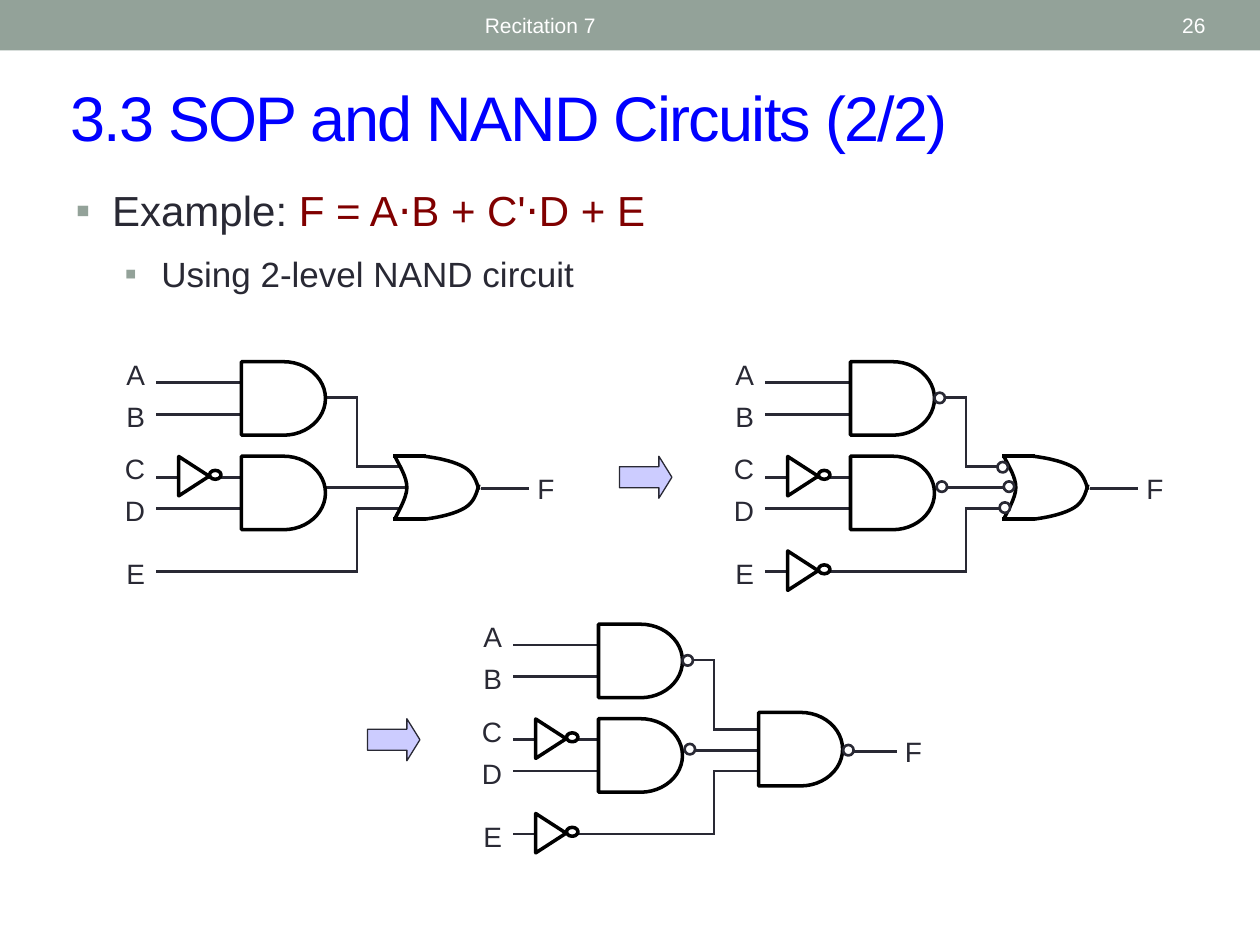
"""Build a slide that turns a sum-of-products circuit into a NAND circuit."""
import lxml.etree
import pptx
import pptx.dml.color
import pptx.enum.shapes
import pptx.enum.text
import pptx.oxml.ns
import pptx.util

RGBColor = pptx.dml.color.RGBColor
SAGE = RGBColor(0x93, 0xA2, 0x99)
WHITE = RGBColor(0xFF, 0xFF, 0xFF)
BLACK = RGBColor(0, 0, 0)
BLUE = RGBColor(0, 0, 0xFF)
INK = RGBColor(0x29, 0x29, 0x34)
RED = RGBColor(0x80, 0, 0)
LILAC = RGBColor(0xCC, 0xCC, 0xFF)
KIND = pptx.enum.shapes.MSO_SHAPE
ALIGN = pptx.enum.text.PP_ALIGN
MIDDLE = pptx.enum.text.MSO_ANCHOR.MIDDLE
FIT = pptx.enum.text.MSO_AUTO_SIZE
COLS, ROWS = 120, 90


class Board:
    """Hold the style, the slide and the corner that grid lengths start from."""

    font = "Arial"
    thin, thick = 1.5, 2

    def __init__(self, deck):
        self.slide = deck.slides.add_slide(deck.slide_layouts[1])
        self.shapes = self.slide.shapes
        self.col = deck.slide_width / COLS
        self.row = deck.slide_height / ROWS
        self.move(0, 0)

    def move(self, left, top):
        self.left, self.top = left, top

    def spot(self, x, y):
        return round((self.left + x) * self.col), round((self.top + y) * self.row)

    def size(self, wide, high):
        return round(wide * self.col), round(high * self.row)

    def run(self, para, text, size, color):
        run = para.add_run()
        run.text = text
        run.font.name, run.font.size = self.font, pptx.util.Pt(size)
        run.font.color.rgb = color
        return run

    def place(self, item, x, y, wide, high):
        item.left, item.top = self.spot(x, y)
        item.width, item.height = self.size(wide, high)
        item.text_frame.auto_size = FIT.NONE
        return item.text_frame

    def title(self, text, *box):
        frame = self.place(self.shapes.title, *box)
        frame.vertical_anchor = MIDDLE
        frame.paragraphs[0].alignment = ALIGN.LEFT
        run = self.run(frame.paragraphs[0], text, 36, BLUE)
        run.font._element.set("spc", "-100")

    def body(self, items, *box):
        frame = self.place(self.slide.placeholders[1], *box)
        for level, (size, edge, runs) in enumerate(items):
            para = frame.add_paragraph() if level else frame.paragraphs[0]
            para.level = level
            para.space_before = pptx.util.Pt(size / 2)
            for text, color in runs:
                self.run(para, text, size, color)
            self.bullet(para, edge)

    def bullet(self, para, edge):
        props = para._p.get_or_add_pPr()
        props.set("marL", str(pptx.util.Inches(edge)))
        props.set("indent", str(pptx.util.Inches(-0.29)))
        qn = pptx.oxml.ns.qn
        tint = lxml.etree.SubElement(props, qn("a:buClr"))
        lxml.etree.SubElement(tint, qn("a:srgbClr"), val=str(SAGE))
        lxml.etree.SubElement(props, qn("a:buFont"), typeface=self.font)
        lxml.etree.SubElement(props, qn("a:buChar"), char="▪")

    def text(self, text, x, y, wide, high, size=16, color=INK, align=ALIGN.LEFT, fit=FIT.SHAPE_TO_FIT_TEXT):
        frame = self.shapes.add_textbox(*self.spot(x, y), *self.size(wide, high)).text_frame
        frame.word_wrap, frame.auto_size = True, fit
        if fit == FIT.NONE:
            frame.vertical_anchor = MIDDLE
        frame.paragraphs[0].alignment = align
        self.run(frame.paragraphs[0], text, size, color)

    def shape(self, kind, x, y, wide, high, fill=None, line=BLACK, width=thick):
        item = self.shapes.add_shape(kind, *self.spot(x, y), *self.size(wide, high))
        self.style(item, fill, line, width)
        return item

    def style(self, item, fill, line, width):
        item.shadow.inherit = False
        if fill is None:
            item.fill.background()
        else:
            item.fill.solid()
            item.fill.fore_color.rgb = fill
        if line is None:
            item.line.fill.background()
        else:
            item.line.color.rgb = line
            item.line.width = pptx.util.Pt(width)

    def wire(self, *points, color=INK, width=thin):
        for start, end in zip(points, points[1:]):
            item = self.shapes.add_connector(
                pptx.enum.shapes.MSO_CONNECTOR.STRAIGHT, *self.spot(*start), *self.spot(*end))
            item.line.color.rgb = color
            item.line.width = pptx.util.Pt(width)
            item.line._get_or_add_ln().set("cap", "sq")
            lxml.etree.SubElement(item._element.spPr, pptx.oxml.ns.qn("a:effectLst"))

    def curve(self, *knots):
        dots = [self.spot(*knot) for knot in knots]
        draft = self.shapes.build_freeform(*dots[0])
        draft.add_line_segments(dots[1:], close=False)
        item = draft.convert_to_shape()
        self.style(item, None, BLACK, self.thick)
        qn = pptx.oxml.ns.qn
        lines = list(item._element.iter(qn("a:lnTo")))
        trail = lines[0].getparent()
        for first in range(0, len(lines), 3):
            bend = lxml.etree.SubElement(trail, qn("a:cubicBezTo"))
            for line in lines[first:first + 3]:
                bend.append(line[0])
                trail.remove(line)

    def gate(self, x, y):
        self.shape(KIND.FLOWCHART_DELAY, x, y, 8, 7)

    def ring(self, x, y):
        self.shape(KIND.OVAL, x, y, 1, 1, WHITE, INK, self.thin)

    def flip(self, y):
        self.shape(KIND.FLOWCHART_MERGE, 6.6, y - 1.55, 3.75, 2.9, WHITE).rotation = 270
        self.shape(KIND.OVAL, 9.95, y - 0.65, 1.1, 0.85, WHITE)

    def arrow(self):
        item = self.shape(KIND.RIGHT_ARROW, -9, 10, 5, 4, LILAC, INK, 0.75)
        item.adjustments[0], item.adjustments[1] = 0.5, 0.31

    def join(self):
        self.curve((27.6, 10), (28.1, 11), (28.75, 12), (28.75, 13), (28.75, 14), (27.8, 15.5), (27.6, 16))
        for edge, turn, tip in ((10, 1, 13.2), (16, -1, 12.7)):
            self.wire((27.6, edge), (30.4, edge), color=BLACK, width=self.thick)
            self.curve((30.4, edge), (32, edge + 0.2 * turn), (33.4, edge + 0.55 * turn),
                       (34.3, edge + 1.1 * turn), (35.1, edge + 1.6 * turn),
                       (35.4, edge + 2.4 * turn), (35.6, tip))

    def stage(self, left, top, rings=(), flips=(12,), nand=False):
        self.move(left, top)
        for name, y in zip("ABCDE", (0, 4, 9, 13, 19)):
            self.text(name, 0, y, 5, 4.4, align=ALIGN.RIGHT)
        for y in (3, 6, 12, 15):
            self.wire((5, y), (13, y))
        self.wire((21, 4.4), (24, 4.4), (24, 11), (28, 11))
        self.wire((21, 13), (28 if nand else 28.75, 13))
        self.wire((5, 21), (24, 21), (24, 15), (28, 15))
        for y in (1, 10):
            self.gate(13, y)
        shift = 1 if nand else 0
        self.wire((35.9 + shift, 13.1), (40.3 + shift, 13.1))
        self.text("F", 40 + shift, 10.9, 5.8, 4.4)
        if nand:
            self.gate(28.25, 9.4)
        else:
            self.join()
        for y in flips:
            self.flip(y)
        for x, y in rings:
            self.ring(x, y)
        if rings:
            self.arrow()


def main():
    deck = pptx.Presentation()
    deck.slide_width, deck.slide_height = pptx.util.Inches(10), pptx.util.Inches(7.5)
    board = Board(deck)
    board.shape(KIND.RECTANGLE, 0, 0, COLS, 4.8, SAGE, None)
    board.title("3.3 SOP and NAND Circuits (2/2)", 5.5, 6.88, 108.9, 8.4)
    board.text("Recitation 7", 45, 0.25, 54, 4.3, 12, WHITE, fit=FIT.NONE)
    board.text("26", 104.6, 0.25, 11.4, 4.3, 12, WHITE, ALIGN.RIGHT, FIT.NONE)
    board.body([
        (24, 0.29, [("Example:", INK), (" F = A⋅B + C'⋅D + E", RED)]),
        (20, 0.68, [("Using 2-level NAND circuit", INK)]),
    ], 6, 17, 108, 12.5)
    outs = [(21, 3.95), (21.2, 12.4)]
    board.stage(10, 33.45)
    board.stage(68, 33.45, outs + [(27, 10.55), (27.6, 12.4), (27.2, 14.4)], (12, 21))
    board.stage(44, 58.45, outs + [(36.3, 12.5)], (12, 21), nand=True)
    deck.save("out.pptx")


if __name__ == "__main__":
    main()
